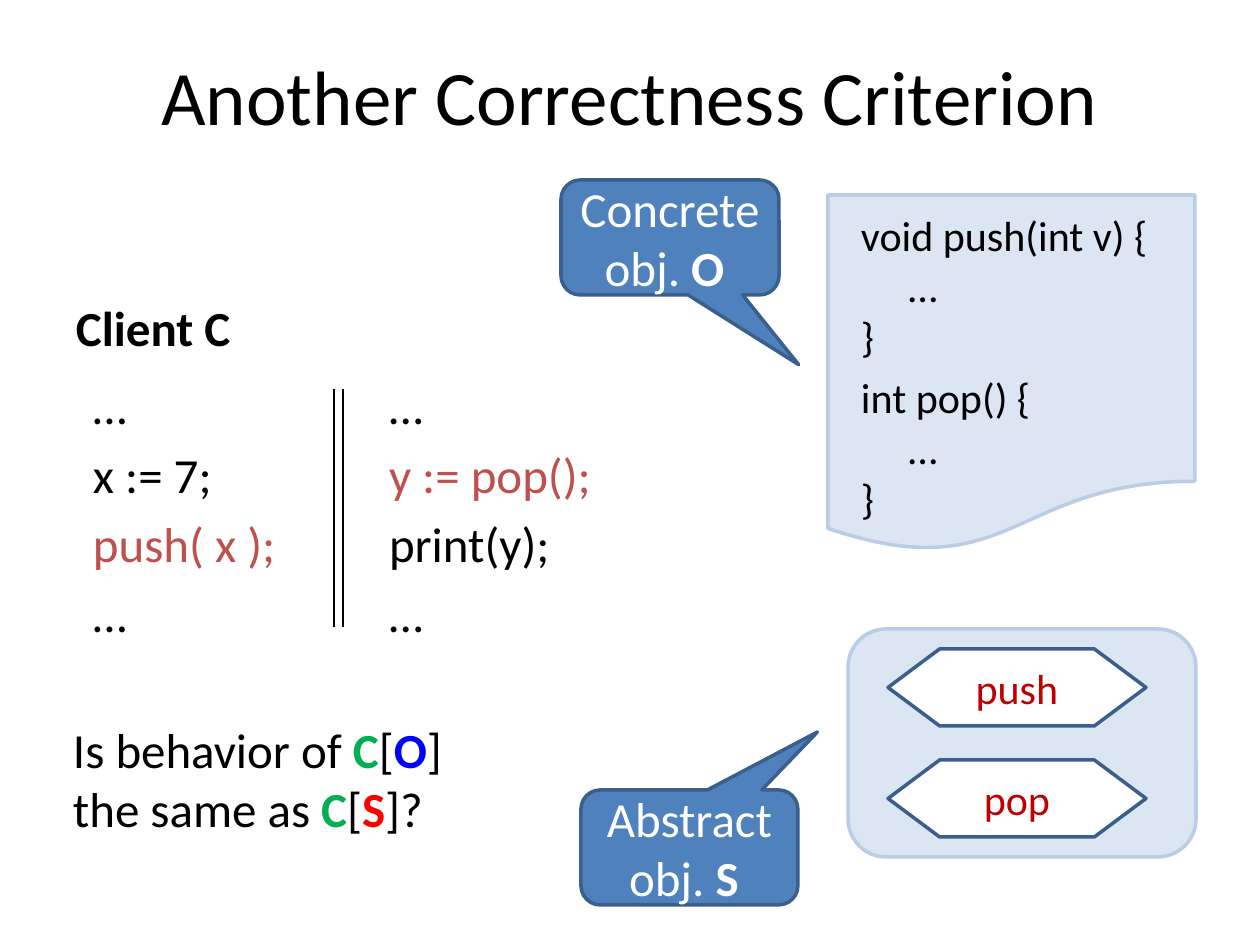
from pptx import Presentation
from pptx.dml.color import RGBColor
from pptx.enum.shapes import MSO_CONNECTOR, MSO_SHAPE as Kind
from pptx.enum.text import MSO_ANCHOR as Anchor, PP_ALIGN as Align
from pptx.oxml.ns import qn
from pptx.util import Pt
from lxml.etree import SubElement

PX = 914400 / 126
BLACK, WHITE, CALL, DARK = "000000", "FFFFFF", "C0504D", "3A5F8C"
GREEN, BLUE, RED, MAROON = "00B050", "0000FF", "FF0000", "C00000"
PALE, EDGE, FILL = "DCE6F2", "B9CDE5", "4F81BD"

TITLE = "Another Correctness Criterion"
THREADS = [
    (77, 214, ["…", "x := 7;", [("push( x );", CALL)], "…"]),
    (373, 244, ["…", [("y := pop();", CALL)], "print(y);", "…"]),
]
BARS = [334, 343]
QUERY = [("Is behavior of ", BLACK), ("C", GREEN, True), ("[", BLACK),
         ("O", BLUE, True), ("] the same as ", BLACK), ("C", GREEN, True),
         ("[", BLACK), ("S", RED, True), ("]?", BLACK)]
NOTES = [
    ((561, 180, 218, 115), 1.106, "Concrete obj. ", "O "),
    ((581, 790, 217, 115), -1.004, "Abstract obj. ", "S "),
]
CODE = [
    ["void push(int v) {", "     …", "}"],
    ["int pop() {", "     …", "}"],
]
OPS = ["push", "pop"]


def px(n):
    return round(n * PX)


def rgb(code):
    return RGBColor.from_string(code)


def write(shape, lines, size=28, color=BLACK, bold=False, align=Align.LEFT,
          anchor=Anchor.TOP, pad=(13, 6, 13, 6), wrap=True, gaps=()):
    frame = shape.text_frame
    frame.word_wrap, frame.vertical_anchor = wrap, anchor
    (frame.margin_left, frame.margin_top,
     frame.margin_right, frame.margin_bottom) = map(px, pad)
    for i, line in enumerate(lines):
        para = frame.paragraphs[0] if i == 0 else frame.add_paragraph()
        para.alignment = align
        if i in gaps:
            para.space_before = Pt(6)
        for part in [(line,)] if isinstance(line, str) else line:
            text, hue, heavy = (*part, *(None, color, bold)[len(part):])
            run = para.add_run()
            run.text = text
            font = run.font
            font.name, font.size, font.bold = "Calibri", Pt(size), heavy
            font.color.rgb = rgb(hue)


def label(slide, box, lines, **style):
    write(slide.shapes.add_textbox(*map(px, box)), lines, **style)


def draw(slide, kind, box, fill, line):
    shape = slide.shapes.add_shape(kind, *map(px, box))
    shape.shadow.inherit = False
    shape.fill.solid()
    shape.fill.fore_color.rgb = rgb(fill)
    shape.line.color.rgb = rgb(line)
    shape.line.width = Pt(2)
    return shape


def bar(slide, x, top, end):
    line = slide.shapes.add_connector(
        MSO_CONNECTOR.STRAIGHT, px(x), px(top), px(x), px(end))
    line.line.color.rgb = rgb(BLACK)
    line.line.width = Pt(0.75)
    SubElement(line._element.spPr, qn("a:effectLst"))


def main():
    deck = Presentation()
    deck.slide_width, deck.slide_height = px(1260), px(945)
    slide = deck.slides.add_slide(deck.slide_layouts[5])

    title = slide.shapes.title
    title.left, title.top, title.width, title.height = map(
        px, (63, 16, 1134, 158))
    write(title, [TITLE], size=44, align=Align.CENTER, anchor=Anchor.MIDDLE)

    for x in BARS:
        bar(slide, x, 389, 627)
    for x, wide, lines in THREADS:
        label(slide, (x, 369, wide, 282), lines, pad=(16, 6, 13, 6),
              wrap=False, gaps=range(1, len(lines)))
    label(slide, (60, 300, 213, 59), ["Client C"], bold=True,
          anchor=Anchor.MIDDLE, pad=(16, 0, 13, 6))
    label(slide, (60, 714, 451, 131), [QUERY])

    for box, tip, text, name in NOTES:
        note = draw(slide, Kind.ROUNDED_RECTANGULAR_CALLOUT, box, FILL, DARK)
        for i, value in enumerate((0.59, tip, 0.167)):
            note.adjustments[i] = value
        write(note, [[(text, WHITE), (name, WHITE, True)]],
              align=Align.CENTER, anchor=Anchor.MIDDLE)

    draw(slide, Kind.FLOWCHART_DOCUMENT, (828, 195, 367, 357), PALE, EDGE)
    label(slide, (848, 204, 328, 329), sum(CODE, []), size=24,
          gaps=[len(CODE[0])])

    draw(slide, Kind.ROUNDED_RECTANGLE, (848, 629, 348, 228), PALE, EDGE)
    for i, name in enumerate(OPS):
        step = draw(slide, Kind.FLOWCHART_PREPARATION,
                    (888, 649 + 111 * i, 258, 77), WHITE, DARK)
        write(step, [name], size=24, color=MAROON, align=Align.CENTER,
              anchor=Anchor.MIDDLE, pad=(0, 0, 0, 0))

    deck.save("out.pptx")


if __name__ == "__main__":
    main()
